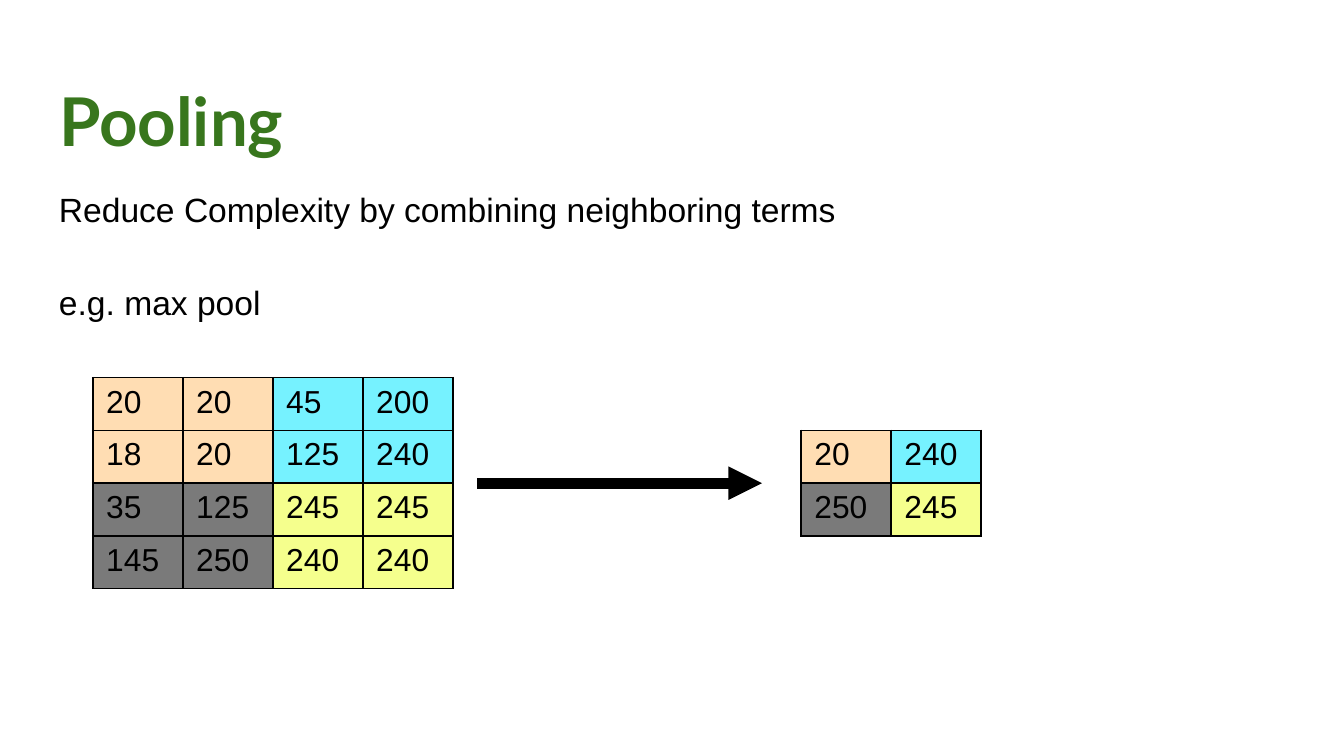
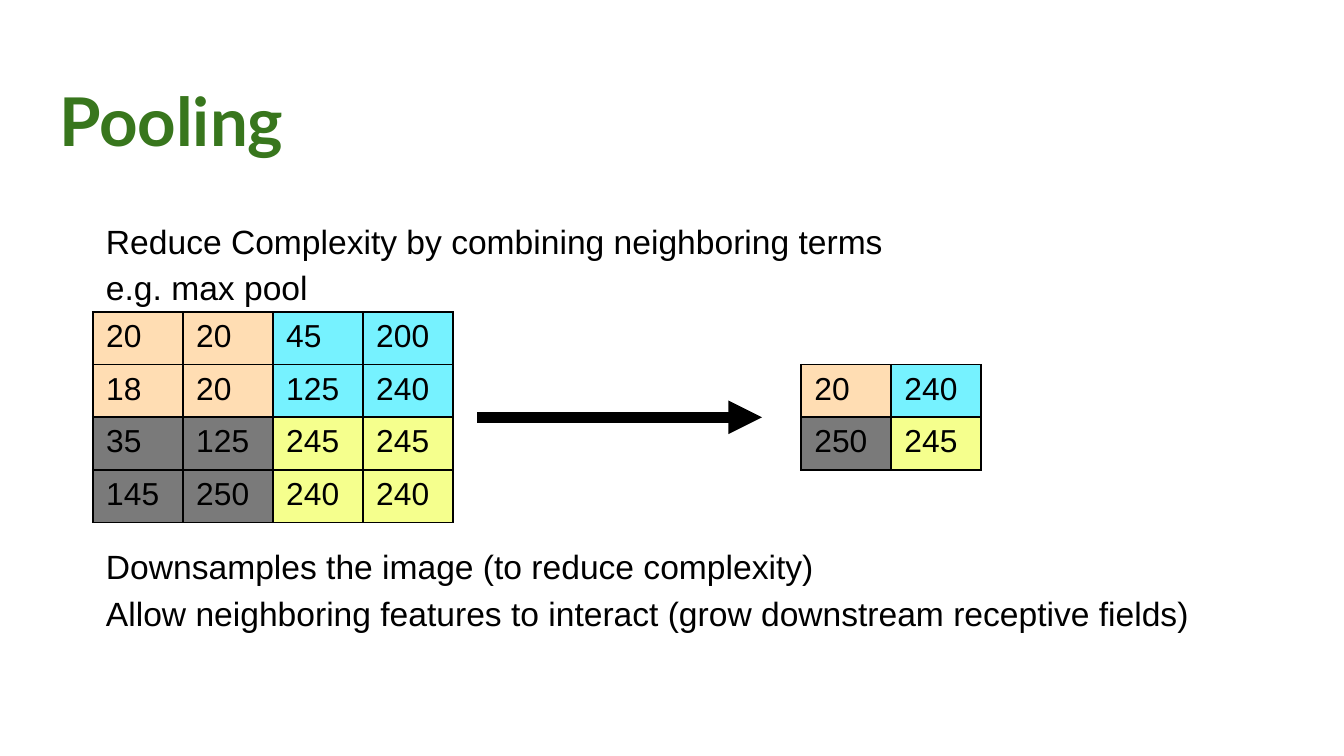
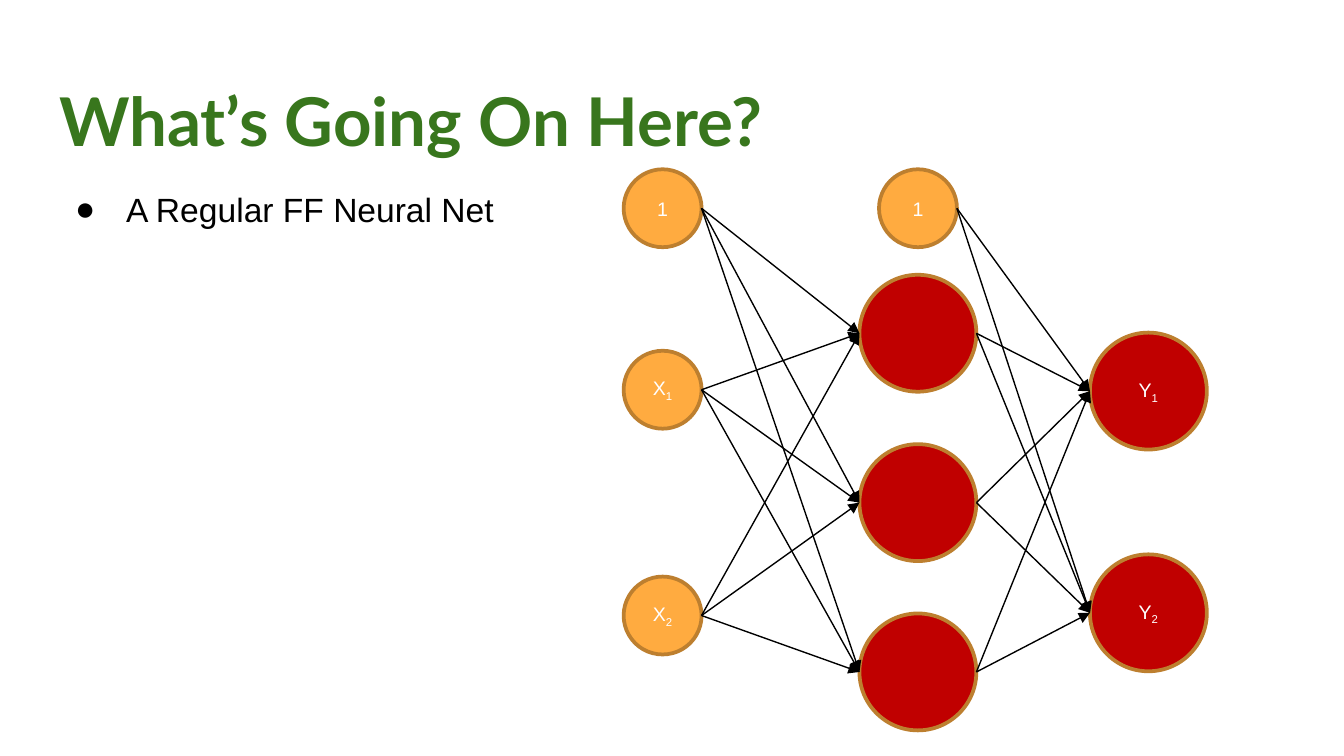
import itertools

import lxml.etree
import pptx
import pptx.dml.color
import pptx.enum.shapes
import pptx.enum.text
import pptx.oxml.ns
import pptx.util

RGB = pptx.dml.color.RGBColor
Inches = pptx.util.Inches
Pt = pptx.util.Pt
qn = pptx.oxml.ns.qn

BLACK = RGB(0x00, 0x00, 0x00)
WHITE = RGB(0xFF, 0xFF, 0xFF)
GREEN = RGB(0x38, 0x76, 0x1D)
PEACH = RGB(0xFF, 0xDD, 0xB3)
CYAN = RGB(0x76, 0xF2, 0xFF)
GRAY = RGB(0x7A, 0x7A, 0x7A)
YELLOW = RGB(0xF5, 0xFF, 0x8D)
ORANGE = RGB(0xFF, 0xAB, 0x40)
RED = RGB(0xC0, 0x00, 0x00)
BRONZE = RGB(0xBD, 0x7F, 0x2F)

WIDTH = 10
HEIGHT = WIDTH * 9 / 16
MARGIN, INDENT = 0.34, 0.69
BODY_TOP = 1.26
BLANK_LINE = 24.9  # points taken by one line of body text

POOL_COLORS = [[PEACH, CYAN], [GRAY, YELLOW]]
PIXELS = [
    [20, 20, 45, 200],
    [18, 20, 125, 240],
    [35, 125, 245, 245],
    [145, 250, 240, 240],
]
CELL_W, CELL_H = 0.67, 1.57 / 4
SMALL, LARGE = 0.58, 0.87


def style_run(r, size, color, font="Arial", bold=False):
    r.font.name = font
    r.font.size = Pt(size)
    r.font.color.rgb = color
    r.font.bold = bold


def set_insets(tf, inset):
    tf.margin_left = tf.margin_right = Inches(inset)
    tf.margin_top = tf.margin_bottom = Inches(inset)


def add_titled_slide(prs, title):
    s = prs.slides.add_slide(prs.slide_layouts[5])
    sp = s.shapes.title
    sp.left, sp.top = Inches(MARGIN), Inches(0.49)
    sp.width, sp.height = Inches(WIDTH - 2 * MARGIN), Inches(0.63)
    tf = sp.text_frame
    tf.text = title
    tf.auto_size = pptx.enum.text.MSO_AUTO_SIZE.NONE
    tf.vertical_anchor = pptx.enum.text.MSO_ANCHOR.TOP
    set_insets(tf, 0.1)
    p = tf.paragraphs[0]
    p.alignment = pptx.enum.text.PP_ALIGN.LEFT
    style_run(p.runs[0], 36, GREEN, "Lato", True)
    return s


def add_bullet(p):
    pPr = p._p.get_or_add_pPr()
    pPr.set("marL", str(Inches(0.5)))
    pPr.set("indent", str(Inches(-0.38)))
    color = lxml.etree.SubElement(pPr, qn("a:buClr"))
    lxml.etree.SubElement(color, qn("a:srgbClr")).set("val", str(BLACK))
    lxml.etree.SubElement(pPr, qn("a:buFont")).set("typeface", "Arial")
    lxml.etree.SubElement(pPr, qn("a:buChar")).set("char", "●")


def add_body(s, left, top, height, lines, bulleted=False):
    """Write lines, each a pair of text and the blank lines before it."""
    sp = s.shapes.add_textbox(
        Inches(left), Inches(top), Inches(WIDTH - 2 * left), Inches(height))
    tf = sp.text_frame
    tf.word_wrap = True
    set_insets(tf, 0.1)
    for i, (text, blanks) in enumerate(lines):
        p = tf.add_paragraph() if i else tf.paragraphs[0]
        p.text = text
        p.line_spacing = 1.15
        if blanks:
            p.space_before = Pt(blanks * BLANK_LINE)
        if bulleted:
            add_bullet(p)
        style_run(p.runs[0], 18, BLACK)


def add_arrow(s, start, end, weight):
    points = [Inches(v) for v in (*start, *end)]
    line = s.shapes.add_connector(pptx.enum.shapes.MSO_CONNECTOR.STRAIGHT, *points)
    line.line.color.rgb = BLACK
    line.line.width = Pt(weight)
    ln = line.line._get_or_add_ln()
    lxml.etree.SubElement(ln, qn("a:tailEnd")).set("type", "triangle")
    lxml.etree.SubElement(line._element.spPr, qn("a:effectLst"))


def add_cell_borders(cell):
    tcPr = cell._tc.get_or_add_tcPr()
    for side in ("lnL", "lnR", "lnT", "lnB"):
        ln = lxml.etree.SubElement(tcPr, qn("a:" + side))
        ln.set("w", str(Pt(1)))
        fill = lxml.etree.SubElement(ln, qn("a:solidFill"))
        lxml.etree.SubElement(fill, qn("a:srgbClr")).set("val", str(BLACK))


def add_pixel_table(s, left, top, values):
    """Draw a square table whose four quadrants take the pool colours."""
    n = len(values)
    table = s.shapes.add_table(
        n, n, Inches(left), Inches(top),
        Inches(n * CELL_W), Inches(n * CELL_H)).table
    table.first_row = table.horz_banding = False
    for i in range(n):
        table.columns[i].width = Inches(CELL_W)
        table.rows[i].height = Inches(CELL_H)
    for row, col in itertools.product(range(n), repeat=2):
        cell = table.cell(row, col)
        add_cell_borders(cell)
        cell.fill.solid()
        cell.fill.fore_color.rgb = POOL_COLORS[2 * row // n][2 * col // n]
        cell.text = str(values[row][col])
        style_run(cell.text_frame.paragraphs[0].runs[0], 17, BLACK)


def max_pool(values):
    half = range(0, len(values), 2)
    return [[max(values[r + i][c + j] for i in (0, 1) for j in (0, 1))
             for c in half] for r in half]


def add_pooling_diagram(s, left, top, width):
    pooled_left = left + width - 2 * CELL_W
    middle = top + 2 * CELL_H
    add_pixel_table(s, left, top, PIXELS)
    add_pixel_table(s, pooled_left, top + CELL_H, max_pool(PIXELS))
    add_arrow(s, (left + 4 * CELL_W + 0.18, middle),
              (pooled_left - 0.29, middle), 6)


def add_node(s, x, y, size, color, label="", subscript=""):
    """Draw a neuron centred on x, y; return its left and right ends."""
    r = size / 2
    sp = s.shapes.add_shape(
        pptx.enum.shapes.MSO_SHAPE.OVAL,
        Inches(x - r), Inches(y - r), Inches(size), Inches(size))
    sp.shadow.inherit = False
    sp.fill.solid()
    sp.fill.fore_color.rgb = color
    sp.line.color.rgb = BRONZE
    sp.line.width = Pt(2)
    tf = sp.text_frame
    set_insets(tf, 0)
    tf.vertical_anchor = pptx.enum.text.MSO_ANCHOR.MIDDLE
    p = tf.paragraphs[0]
    p.alignment = pptx.enum.text.PP_ALIGN.CENTER
    for text, baseline in ((label, 0), (subscript, -25000)):
        if text:
            run = p.add_run()
            run.text = text
            style_run(run, 10.5, WHITE)
            if baseline:
                run.font._element.set("baseline", str(baseline))
    return (x - r, y), (x + r, y)


def add_network(s, left, top, width):
    input_x = left + SMALL / 2
    hidden_x = input_x + 1.9
    output_x = left + width - LARGE / 2
    bias_y = top + SMALL / 2

    inputs = [add_node(s, input_x, bias_y + dy, SMALL, ORANGE, *label)
              for dy, label in ((0, "1"), (1.35, "X1"), (3.03, "X2"))]
    bias = add_node(s, hidden_x, bias_y, SMALL, ORANGE, "1")
    hidden = [add_node(s, hidden_x, bias_y + 0.93 + 1.26 * i, LARGE, RED)
              for i in range(3)]
    outputs = [add_node(s, output_x, bias_y + 1.36 + 1.65 * i, LARGE, RED, "Y", str(i + 1))
               for i in range(2)]
    for sources, targets in ((inputs, hidden), ([bias] + hidden, outputs)):
        for source, target in itertools.product(sources, targets):
            add_arrow(s, source[1], target[0], 0.75)


def main():
    prs = pptx.Presentation()
    prs.slide_width, prs.slide_height = Inches(WIDTH), Inches(HEIGHT)
    intro = "Reduce Complexity by combining neighboring terms"
    example = "e.g. max pool"

    s = add_titled_slide(prs, "Pooling")
    add_body(s, MARGIN, BODY_TOP, 3.74, [(intro, 0), (example, 1)])
    add_pooling_diagram(s, INDENT, 2.81, 6.61)

    s = add_titled_slide(prs, "Pooling")
    add_body(s, INDENT, 1.5, HEIGHT - 1.5, [
        (intro, 0),
        (example, 0),
        ("Downsamples the image (to reduce complexity)", 5),
        ("Allow neighboring features to interact (grow downstream receptive fields)", 0),
    ])
    add_pooling_diagram(s, INDENT, 2.32, 6.61)

    s = add_titled_slide(prs, "What’s Going On Here?")
    add_body(s, MARGIN, BODY_TOP, 3.74, [("A Regular FF Neural Net", 0)], bulleted=True)
    add_network(s, 4.64, BODY_TOP, 4.34)

    prs.save("out.pptx")


if __name__ == "__main__":
    main()
